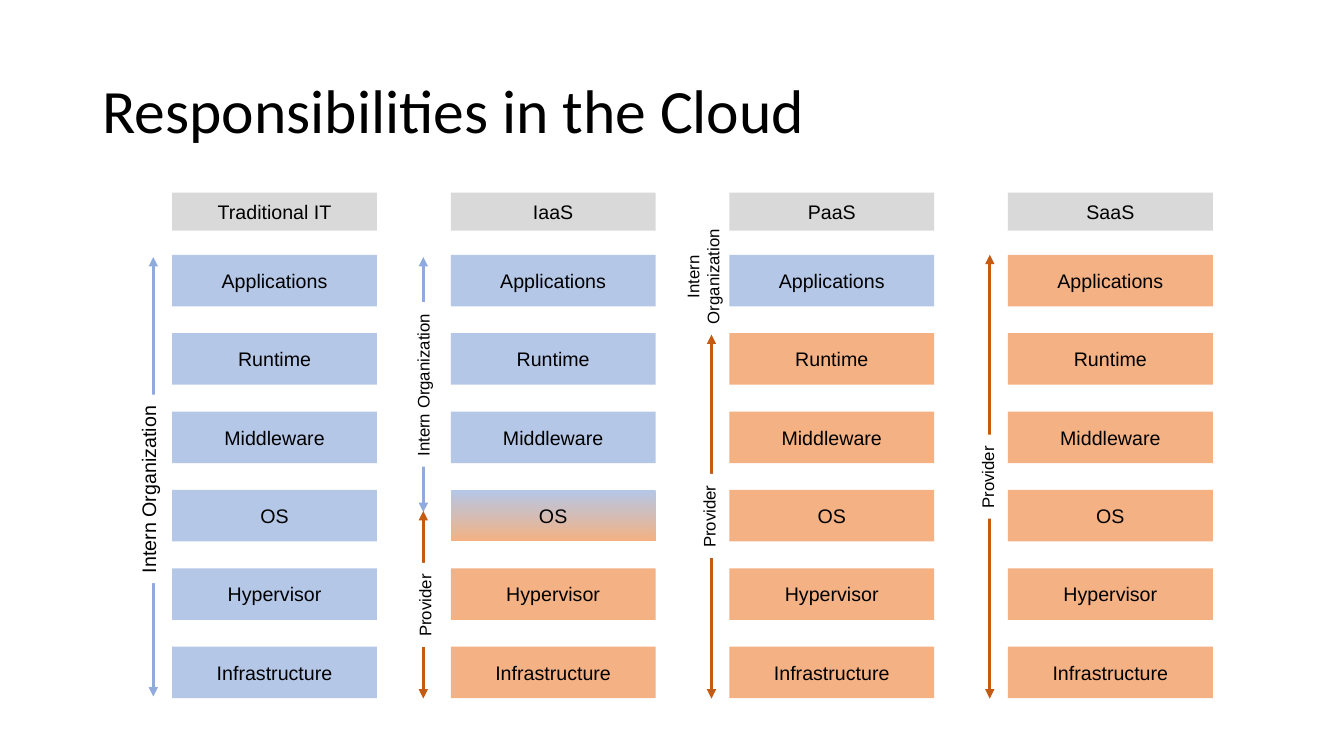
"""Build a slide comparing who is responsible for each layer in four cloud models."""
from dataclasses import dataclass

from lxml import etree
from pptx import Presentation
from pptx.dml.color import RGBColor
from pptx.enum.shapes import MSO_CONNECTOR, MSO_SHAPE
from pptx.enum.text import MSO_ANCHOR, PP_ALIGN
from pptx.oxml.ns import qn
from pptx.util import Pt

RECTANGLE = MSO_SHAPE.RECTANGLE
STRAIGHT = MSO_CONNECTOR.STRAIGHT
TOP, MIDDLE = MSO_ANCHOR.TOP, MSO_ANCHOR.MIDDLE
LEFT, CENTER = PP_ALIGN.LEFT, PP_ALIGN.CENTER


@dataclass(frozen=True)
class Theme:
    text: RGBColor = RGBColor.from_string("000000")
    background: RGBColor = RGBColor.from_string("FFFFFF")
    header: RGBColor = RGBColor.from_string("D9D9D9")
    intern: RGBColor = RGBColor.from_string("B4C7E7")
    provider: RGBColor = RGBColor.from_string("F4B183")
    intern_arrow: RGBColor = RGBColor.from_string("8FAADC")
    provider_arrow: RGBColor = RGBColor.from_string("C55A11")
    title_font: str = "Calibri"
    body_font: str = "Arial"
    title_size: int = 44
    body_size: int = 14
    label_size: int = 12


theme = Theme()


def write_text(shape, text, size, font_name, frame_format, paragraph_format):
    frame = shape.text_frame
    for name, value in frame_format.items():
        setattr(frame, name, value)
    paragraph = frame.paragraphs[0]
    paragraph.text = text
    for name, value in paragraph_format.items():
        setattr(paragraph, name, value)
    font_format = {"name": font_name, "size": Pt(size)}
    for run in paragraph.runs:
        for name, value in font_format.items():
            setattr(run.font, name, value)
        run.font.color.rgb = theme.text


def add_box(left, top, width, height, color):
    box = slide.shapes.add_shape(RECTANGLE, Pt(left), Pt(top), Pt(width), Pt(height))
    box.shadow.inherit = False
    box.line.fill.background()
    box.fill.solid()
    box.fill.fore_color.rgb = color
    return box


presentation = Presentation()
presentation.slide_width, presentation.slide_height = Pt(960), Pt(540)
slide = presentation.slides.add_slide(presentation.slide_layouts[6])

title = slide.shapes.add_textbox(Pt(66), Pt(28.75), Pt(828), Pt(104.4))
write_text(title, "Responsibilities in the Cloud", theme.title_size, theme.title_font,
           {"word_wrap": True, "vertical_anchor": MIDDLE}, {"line_spacing": 0.9})

layers = ["Applications", "Runtime", "Middleware", "OS", "Hypervisor", "Infrastructure"]
models = [
    ("Traditional IT", ["intern"] * 6),
    ("IaaS", ["intern"] * 3 + ["shared"] + ["provider"] * 2),
    ("PaaS", ["intern"] + ["provider"] * 5),
    ("SaaS", ["provider"] * 6),
]
owner_colors = {"intern": theme.intern, "shared": theme.intern, "provider": theme.provider}
column_left, column_step, column_width = 123, 199, 146.3
header_top, header_height = 137.5, 27.3
layer_top, layer_step, layer_height = 182, 56, 36.8
box_frame = {"word_wrap": True, "vertical_anchor": MIDDLE}

for column, (model, owners) in enumerate(models):
    left = column_left + column * column_step
    header = add_box(left, header_top, column_width, header_height, theme.header)
    write_text(header, model, theme.body_size, theme.body_font,
               box_frame, {"alignment": CENTER})
    for row, (layer, owner) in enumerate(zip(layers, owners)):
        box = add_box(left, layer_top + row * layer_step, column_width, layer_height,
                      owner_colors[owner])
        if owner == "shared":
            box.fill.gradient()
            box.fill.gradient_angle = 270
            for stop, color in zip(box.fill.gradient_stops, (theme.intern, theme.provider)):
                stop.color.rgb = color
            box.fill.gradient_stops[0].position = 0
            box.fill.gradient_stops[1].position = 1
        write_text(box, layer, theme.body_size, theme.body_font,
                   box_frame, {"alignment": CENTER})

arrows = [
    (109.5, 183.6, 497.5, theme.intern_arrow),
    (302.4, 183.6, 365.8, theme.intern_arrow),
    (302.4, 365, 499, theme.provider_arrow),
    (508.2, 239, 499, theme.provider_arrow),
    (707, 182, 499, theme.provider_arrow),
]
for x, top, bottom, color in arrows:
    arrow = slide.shapes.add_connector(STRAIGHT, Pt(x), Pt(top), Pt(x), Pt(bottom))
    arrow.line.color.rgb = color
    arrow.line.width = Pt(2.25)
    line = arrow.line._get_or_add_ln()
    for end in ("a:headEnd", "a:tailEnd"):
        etree.SubElement(line, qn(end), type="triangle")
    etree.SubElement(arrow._element.spPr, qn("a:effectLst"))

label_frame = {"word_wrap": False, "vertical_anchor": TOP}
tight_frame = {**label_frame, "margin_left": 0, "margin_right": 0}
labels = [
    ("Intern Organization", 106.2, 349.2, 134.6, 24.3, theme.body_size, label_frame, LEFT),
    ("Provider", 303.5, 432, 60, 21.8, theme.label_size, label_frame, LEFT),
    ("Intern Organization", 302.2, 274.5, 117.5, 21.8, theme.label_size, label_frame, LEFT),
    ("Provider", 506.5, 368.5, 60, 21.8, theme.label_size, label_frame, LEFT),
    ("Provider", 705.5, 340.5, 60, 21.8, theme.label_size, label_frame, LEFT),
    ("Intern\vOrganization", 501, 197.5, 72.7, 34, theme.label_size, tight_frame, CENTER),
]
for text, center_x, center_y, width, height, size, frame_format, alignment in labels:
    label = add_box(center_x - width / 2, center_y - height / 2, width, height, theme.background)
    label.rotation = 270
    write_text(label, text, size, theme.body_font, frame_format, {"alignment": alignment})

presentation.save("out.pptx")
